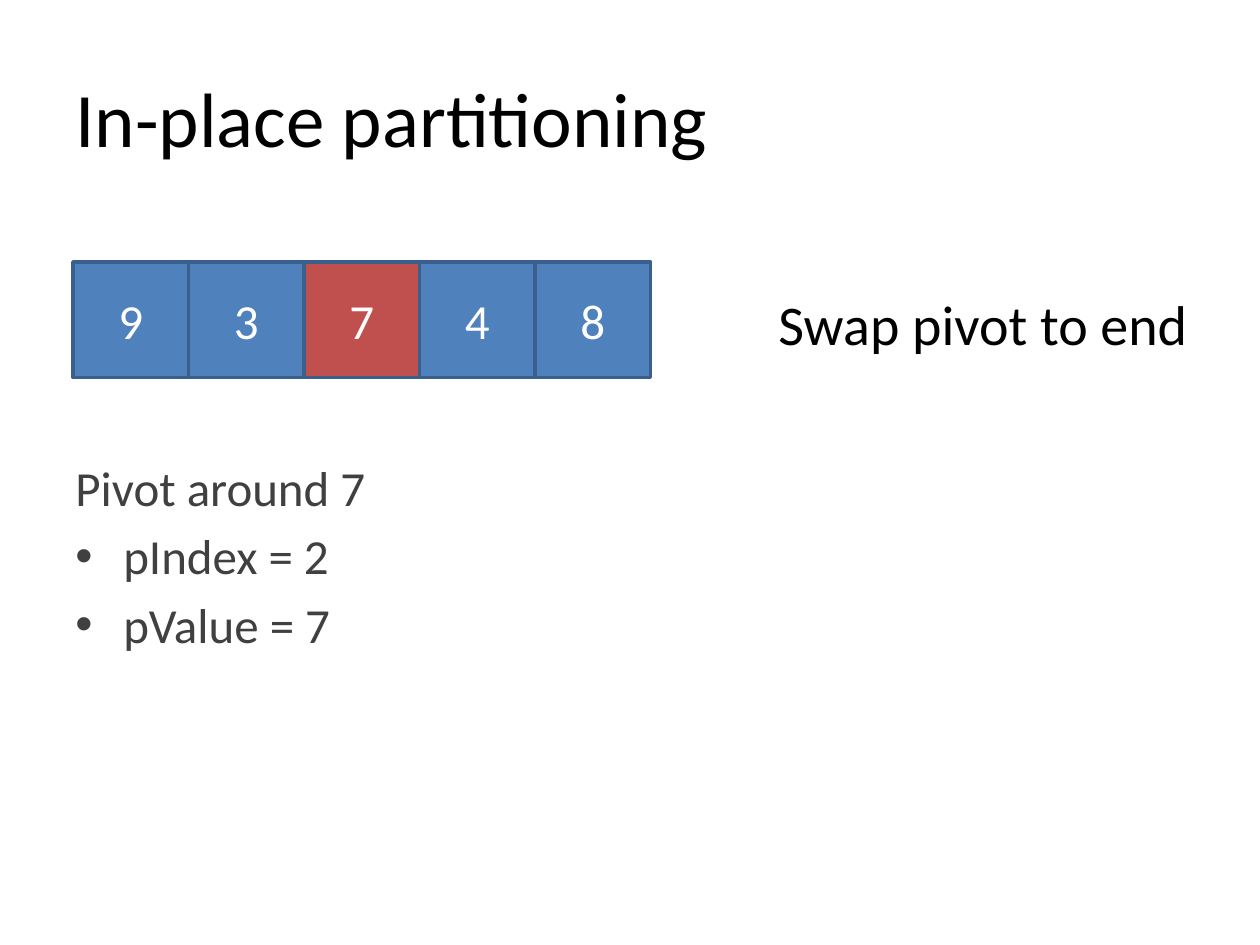
from lxml import etree
from pptx import Presentation
from pptx.dml.color import RGBColor
from pptx.enum.shapes import MSO_SHAPE
from pptx.enum.text import MSO_ANCHOR, PP_ALIGN
from pptx.oxml.ns import qn
from pptx.util import Inches, Pt

RECT = MSO_SHAPE.RECTANGLE
TOP, MIDDLE = MSO_ANCHOR.TOP, MSO_ANCHOR.MIDDLE
LEFT, CENTER = PP_ALIGN.LEFT, PP_ALIGN.CENTER
COLORS = {"ink": "000000", "body": "404040", "cell": "4F81BD",
          "pivot": "C0504D", "edge": "3A5F8C", "light": "FFFFFF"}


class Deck:
    font = "Calibri"

    def __init__(self, show):
        self.slide = show.slides.add_slide(show.slide_layouts[5])
        self.shapes = self.slide.shapes

    def color(self, name):
        return RGBColor.from_string(COLORS[name])

    def place(self, shape, box):
        for name, value in zip(("left", "top", "width", "height"), box):
            setattr(shape, name, Inches(value))

    def fill_text(self, shape, lines, size, ink, anchor=TOP, align=LEFT, wrap=True):
        frame = shape.text_frame
        frame.text = "\n".join(lines)
        for name, value in {"word_wrap": wrap, "vertical_anchor": anchor}.items():
            setattr(frame, name, value)
        for para in frame.paragraphs:
            para.alignment = align
            font = para.runs[0].font
            for name, value in {"name": self.font, "size": Pt(size)}.items():
                setattr(font, name, value)
            font.color.rgb = self.color(ink)
        return frame

    def title(self, text, box):
        shape = self.shapes.title
        self.place(shape, box)
        self.fill_text(shape, [text], 44, "ink", MIDDLE)

    def cell(self, text, box, fill):
        shape = self.shapes.add_shape(RECT, *map(Inches, box))
        shape.shadow.inherit = False
        shape.fill.solid()
        shape.fill.fore_color.rgb = self.color(fill)
        shape.line.color.rgb = self.color("edge")
        shape.line.width = Pt(2)
        self.fill_text(shape, [text], 28, "light", MIDDLE, CENTER)

    def text(self, lines, box, size, ink, wrap=True):
        shape = self.shapes.add_textbox(*map(Inches, box))
        return self.fill_text(shape, lines, size, ink, wrap=wrap)

    def points(self, head, items, box):
        frame = self.text([head, *items], box, 28, "body")
        for para in frame.paragraphs:
            para.space_before = Pt(5.6)
        for para in frame.paragraphs[1:]:
            self.bullet(para)

    def bullet(self, para):
        props = para._p.get_or_add_pPr()
        props.set("marL", str(Inches(0.38)))
        props.set("indent", str(Inches(-0.38)))
        etree.SubElement(props, qn("a:buFont")).set("typeface", "Arial")
        etree.SubElement(props, qn("a:buChar")).set("char", "•")


def main():
    show = Presentation()
    show.slide_width, show.slide_height = Inches(10), Inches(7.5)
    deck = Deck(show)
    deck.title("In-place partitioning", (0.5, 0.3, 9, 1.25))
    deck.points("Pivot around 7", ["pIndex = 2", "pValue = 7"],
                (0.5, 3.58, 4.42, 3.67))
    side = 11 / 12
    for i, value in enumerate("93748"):
        fill = "pivot" if value == "7" else "cell"
        deck.cell(value, (0.58 + i * side, 2.08, side, side), fill)
    deck.text(["Swap pivot to end"], (6.08, 2.25, 3.48, 0.64), 32, "ink", False)
    show.save("out.pptx")


if __name__ == "__main__":
    main()
